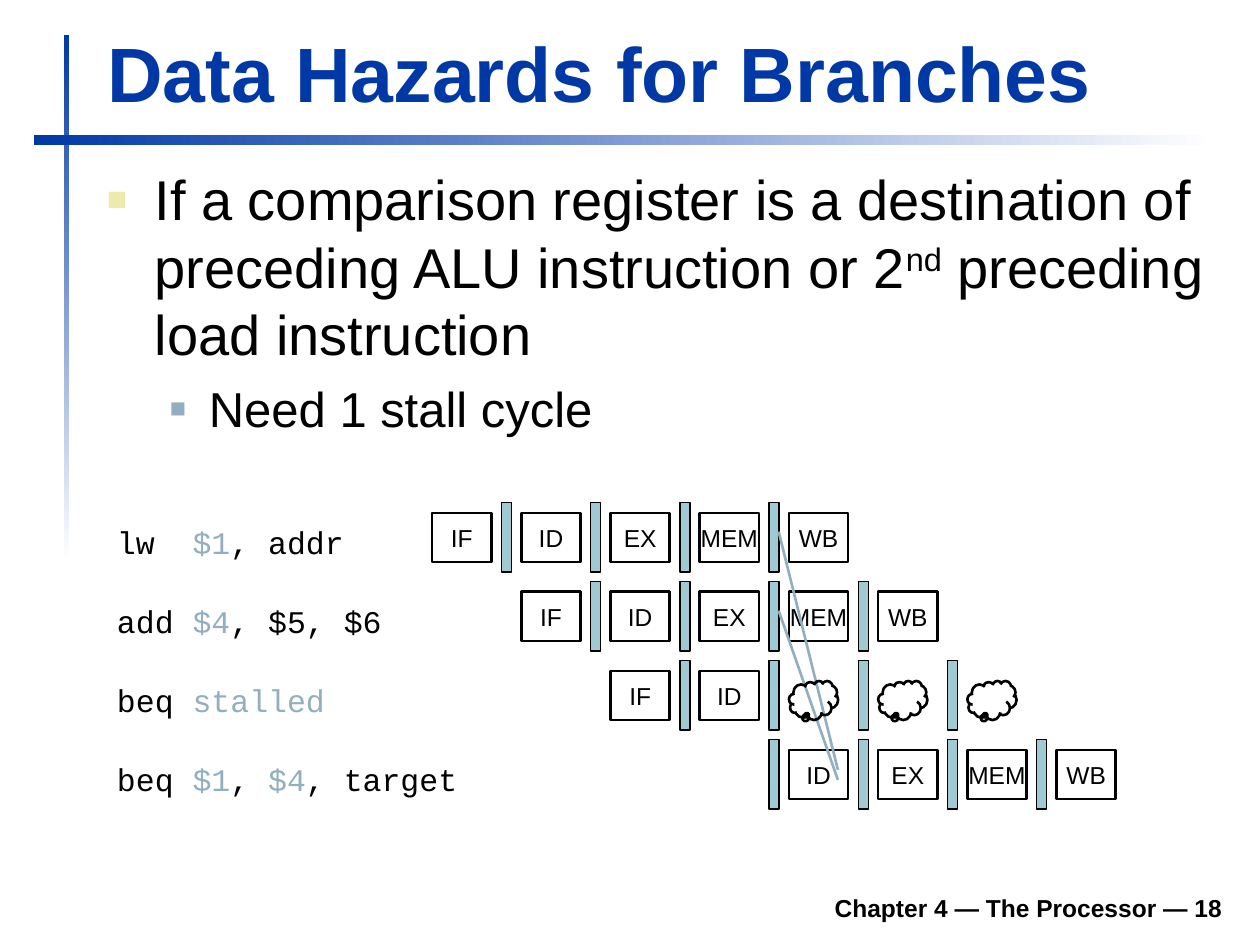
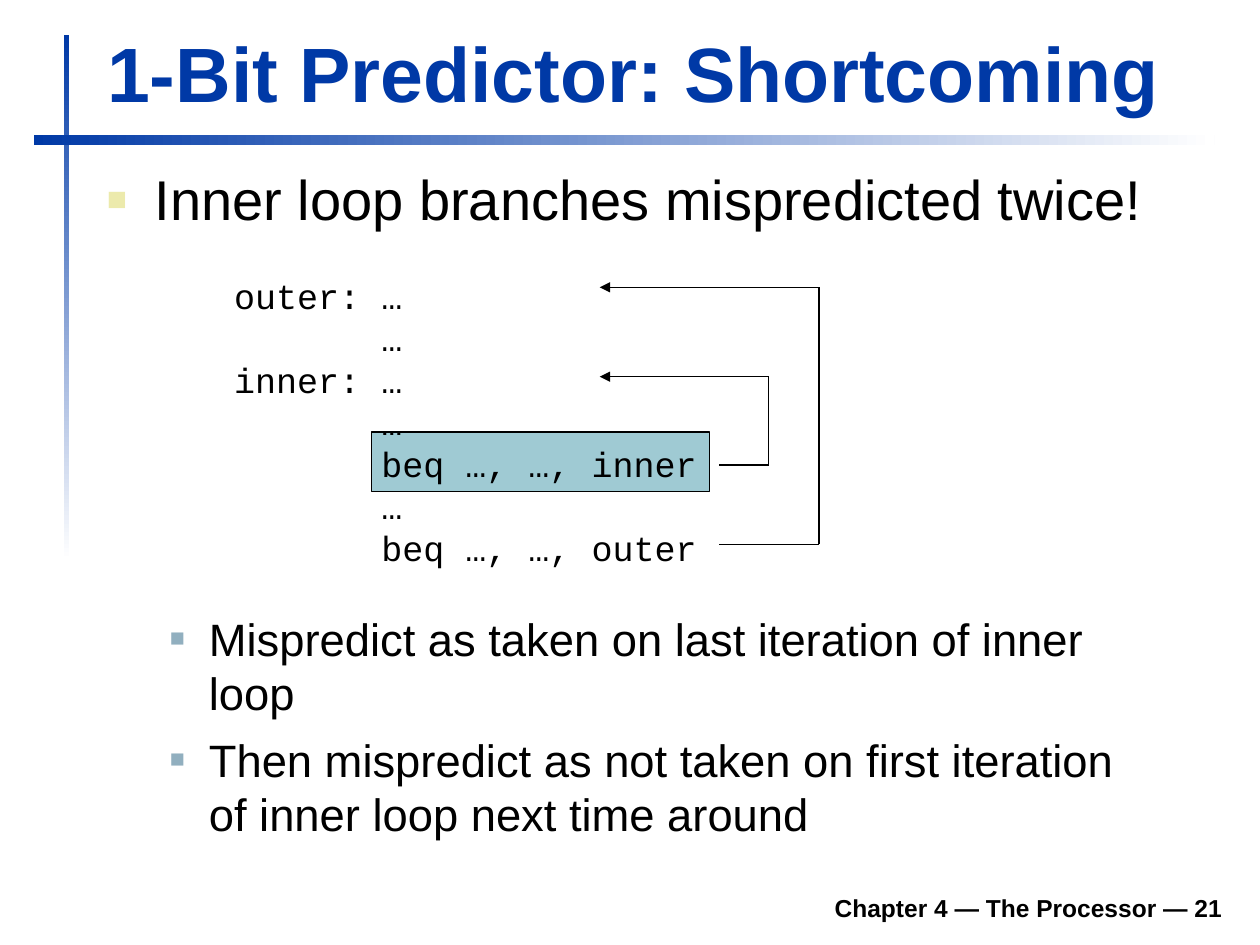
from dataclasses import dataclass

from lxml.etree import SubElement
from pptx import Presentation
from pptx.dml.color import RGBColor
from pptx.enum.shapes import MSO_CONNECTOR, MSO_SHAPE
from pptx.enum.text import MSO_ANCHOR, MSO_AUTO_SIZE, PP_ALIGN
from pptx.oxml.ns import qn
from pptx.util import Inches, Pt

SLIDE_WIDTH, SLIDE_HEIGHT = Inches(10), Inches(7.5)
COLUMN, ROW = SLIDE_WIDTH / 100, SLIDE_HEIGHT / 75


@dataclass(frozen=True)
class Theme:
    blue: RGBColor = RGBColor.from_string("0039A6")
    white: RGBColor = RGBColor.from_string("FFFFFF")
    black: RGBColor = RGBColor.from_string("000000")
    accent: RGBColor = RGBColor.from_string("91AFBF")
    teal: RGBColor = RGBColor.from_string("9FCAD3")
    cream: RGBColor = RGBColor.from_string("ECEAAC")
    sans: str = "Arial"
    mono: str = "Courier New"
    title: float = 44
    point: float = 32
    subpoint: float = 28
    note: float = 25.9
    code: float = 20
    instruction: float = 18
    small: float = 14
    leading: float = 1.2
    thin: float = 0.75
    thick: float = 1.5


THEME = Theme()


@dataclass(frozen=True)
class Box:
    left: float
    top: float
    width: float
    height: float

    def inner(self, column, row, width, height):
        return Box(self.left + column, self.top + row, width, height)

    def point(self, column, row):
        return round((self.left + column) * COLUMN), round((self.top + row) * ROW)

    def frame(self):
        size = round(self.width * COLUMN), round(self.height * ROW)
        return self.point(0, 0) + size


@dataclass(frozen=True)
class Level:
    size: float
    bullet: RGBColor
    bullet_percent: int
    margin: float
    hanging: float
    before: float


POINT = Level(THEME.point, THEME.cream, 60, 0.38, 0.38, 8)
SUBPOINT = Level(THEME.subpoint, THEME.accent, 55, 0.81, 0.31, 7)
NOTE = Level(THEME.note, THEME.accent, 55, 0.81, 0.31, 7)

TITLE = Box(7.5, 1.6, 90.3, 8.3)
FOOTER = Box(18.5, 69.8, 79.5, 3.9)
VERTICAL_BAND = Box(5.1, 2.8, 0.4, 41.7)
HORIZONTAL_BAND = Box(2.7, 10.7, 93.7, 0.8)
STAGE_PITCH, INSTRUCTION_PITCH = 7.08, 6.27


def style(font, size, color=THEME.black, name=THEME.sans, bold=False):
    font.size, font.name, font.bold = Pt(size), name, bold
    font.color.rgb = color


def add_panel(slide, box, kind=MSO_SHAPE.RECTANGLE, fill=None, weight=None):
    panel = slide.shapes.add_shape(kind, *box.frame())
    panel.shadow.inherit = False
    if fill is None:
        panel.fill.background()
    else:
        panel.fill.solid()
        panel.fill.fore_color.rgb = fill
    if weight is None:
        panel.line.fill.background()
    else:
        panel.line.color.rgb = THEME.black
        panel.line.width = Pt(weight)
    return panel


def add_line(slide, start, end, color, weight, arrow=False):
    line = slide.shapes.add_connector(MSO_CONNECTOR.STRAIGHT, *start, *end)
    line.line.color.rgb = color
    line.line.width = Pt(weight)
    outline = line._element.spPr.find(qn("a:ln"))
    if arrow:
        SubElement(outline, qn("a:tailEnd"), type="triangle")
    SubElement(line._element.spPr, qn("a:effectLst"))


def add_frame(slide, box):
    frame = slide.shapes.add_textbox(*box.frame()).text_frame
    frame.word_wrap = True
    return frame


def add_segments(paragraph, segments):
    for segment in segments:
        paragraph.add_run().text = segment
    return paragraph.runs[1::2]


def set_bullet(paragraph, level):
    properties = paragraph._p.get_or_add_pPr()
    properties.set("marL", str(Inches(level.margin)))
    properties.set("indent", str(-Inches(level.hanging)))
    color = SubElement(properties, qn("a:buClr"))
    SubElement(color, qn("a:srgbClr"), val=str(level.bullet))
    SubElement(properties, qn("a:buSzPct"), val=str(level.bullet_percent * 1000))
    SubElement(properties, qn("a:buFont"), typeface=THEME.sans)
    SubElement(properties, qn("a:buChar"), char="■")


def add_bullets(slide, box, items):
    frame = add_frame(slide, box)
    for index, (level, segments) in enumerate(items):
        paragraph = frame.add_paragraph() if index else frame.paragraphs[0]
        raised = add_segments(paragraph, segments)
        set_bullet(paragraph, level)
        paragraph.line_spacing = Pt(level.size * THEME.leading)
        if index:
            paragraph.space_before = Pt(level.before)
        for run in paragraph.runs:
            style(run.font, level.size)
        for run in raised:
            run._r.get_or_add_rPr().set("baseline", "30000")


def add_band(slide, box, angle):
    band = add_panel(slide, box)
    band.fill.gradient()
    band.fill.gradient_angle = angle
    for stop, color in zip(band.fill.gradient_stops, (THEME.blue, THEME.white)):
        stop.color.rgb = color


def add_footer(slide, box, number):
    frame = add_frame(slide, box)
    frame.vertical_anchor = MSO_ANCHOR.BOTTOM
    paragraph = frame.paragraphs[0]
    paragraph.text = f"Chapter 4 — The Processor — {number}"
    paragraph.alignment = PP_ALIGN.RIGHT
    style(paragraph.runs[0].font, THEME.small, bold=True)


def add_content_slide(deck, heading, number):
    slide = deck.slides.add_slide(deck.slide_layouts[5])
    add_band(slide, VERTICAL_BAND, 270)
    add_band(slide, HORIZONTAL_BAND, 0)
    add_footer(slide, FOOTER, number)
    title = slide.shapes.title
    title.left, title.top, title.width, title.height = TITLE.frame()
    frame = title.text_frame
    frame.text = heading
    frame.auto_size = MSO_AUTO_SIZE.NONE
    frame.vertical_anchor = MSO_ANCHOR.BOTTOM
    frame.paragraphs[0].alignment = PP_ALIGN.LEFT
    style(frame.paragraphs[0].runs[0].font, THEME.title, THEME.blue, bold=True)
    return slide


def add_instructions(slide, box, instructions):
    for row, segments in enumerate(instructions):
        place = box.inner(0, row * INSTRUCTION_PITCH, box.width, 4)
        paragraph = add_frame(slide, place).paragraphs[0]
        registers = add_segments(paragraph, segments)
        paragraph.line_spacing = Pt(THEME.instruction * THEME.leading)
        for run in paragraph.runs:
            style(run.font, THEME.instruction, name=THEME.mono)
        for run in registers:
            run.font.color.rgb = THEME.accent


def add_stage(slide, box, name):
    frame = add_panel(slide, box, weight=THEME.thick).text_frame
    frame.word_wrap = False
    frame.vertical_anchor = MSO_ANCHOR.MIDDLE
    frame.text = name
    frame.paragraphs[0].alignment = PP_ALIGN.CENTER
    style(frame.paragraphs[0].runs[0].font, THEME.small)


def add_pipeline(slide, box, stages, bubbles, forwards):
    for row, (first, names) in enumerate(stages):
        top = row * INSTRUCTION_PITCH
        for cycle, name in enumerate(names.split(), first):
            add_stage(slide, box.inner(cycle * STAGE_PITCH, top, 4.7, 3.9), name)
        for cycle in range(row, row + 4):
            latch = box.inner(cycle * STAGE_PITCH + 5.5, top - 0.8, 0.8, 5.5)
            add_panel(slide, latch, fill=THEME.teal, weight=THEME.thin)
    for source_row, arrival in forwards:
        start = box.point(27.5, source_row * INSTRUCTION_PITCH + 1.5)
        add_line(slide, start, box.point(32.2, arrival), THEME.accent, THEME.thick)
    bubble_row, cycles = bubbles
    for cycle in cycles:
        place = box.inner(cycle * STAGE_PITCH, bubble_row * INSTRUCTION_PITCH + 0.8, 3.9, 3.1)
        bubble = add_panel(slide, place, MSO_SHAPE.CLOUD_CALLOUT, weight=THEME.thick)
        bubble.adjustments[0], bubble.adjustments[1] = -0.13, 0.36


def add_loop_code(slide, box, lines):
    highlight = box.inner(11.9, 13.3, 26.8, 4.7)
    add_panel(slide, highlight, fill=THEME.teal, weight=THEME.thin)
    frame = add_frame(slide, box.inner(0, 0.3, 38.8, box.height))
    frame.text = "\n".join(lines)
    for paragraph in frame.paragraphs:
        paragraph.line_spacing = Pt(THEME.code * THEME.leading)
        style(paragraph.runs[0].font, THEME.code, name=THEME.mono)


def add_branch_back(slide, box, branch_row, target_row, reach):
    corners = [(39.5, branch_row), (reach, branch_row), (reach, target_row), (30, target_row)]
    points = [box.point(*corner) for corner in corners]
    for start, end in zip(points, points[1:]):
        add_line(slide, start, end, THEME.black, THEME.thin, arrow=end == points[-1])


def build_hazards(deck):
    slide = add_content_slide(deck, "Data Hazards for Branches", 18)
    add_bullets(slide, Box(7.5, 12.6, 90.4, 26), [
        (POINT, ["If a comparison register is a destination of preceding ALU instruction or 2",
                 "nd", " preceding load instruction"]),
        (SUBPOINT, ["Need 1 stall cycle"]),
    ])
    add_instructions(slide, Box(8.3, 41, 29.5, 23), [
        ["lw  ", "$1", ", addr"],
        ["add ", "$4", ", $5, $6"],
        ["beq ", "stalled"],
        ["beq ", "$1", ", ", "$4", ", target"],
    ])
    add_pipeline(
        slide, Box(34.3, 40.7, 54.3, 22.7),
        stages=[(0, "IF ID EX MEM WB"), (1, "IF ID EX MEM WB"),
                (2, "IF ID"), (4, "ID EX MEM WB")],
        bubbles=(2, range(4, 7)),
        forwards=[(0, 20.4), (1, 21.2)],
    )


def build_predictor(deck):
    slide = add_content_slide(deck, "1-Bit Predictor: Shortcoming", 21)
    add_bullets(slide, Box(7.5, 12.6, 90.4, 7.9),
                [(POINT, ["Inner loop branches mispredicted twice!"])])
    loop = Box(17.6, 21, 47.4, 24.4)
    add_loop_code(slide, loop, [
        "outer: …",
        "       …",
        "inner: …",
        "       …",
        "       beq …, …, inner",
        "       …",
        "       beq …, …, outer",
    ])
    add_branch_back(slide, loop, 15.9, 8.9, 43.4)
    add_branch_back(slide, loop, 22.2, 1.8, 47.4)
    add_bullets(slide, Box(7.5, 48, 85, 20.5), [
        (NOTE, ["Mispredict as taken on last iteration of inner loop"]),
        (NOTE, ["Then mispredict as not taken on first iteration of inner loop next time around"]),
    ])


def main():
    deck = Presentation()
    deck.slide_width, deck.slide_height = SLIDE_WIDTH, SLIDE_HEIGHT
    build_hazards(deck)
    build_predictor(deck)
    deck.save("out.pptx")


if __name__ == "__main__":
    main()
